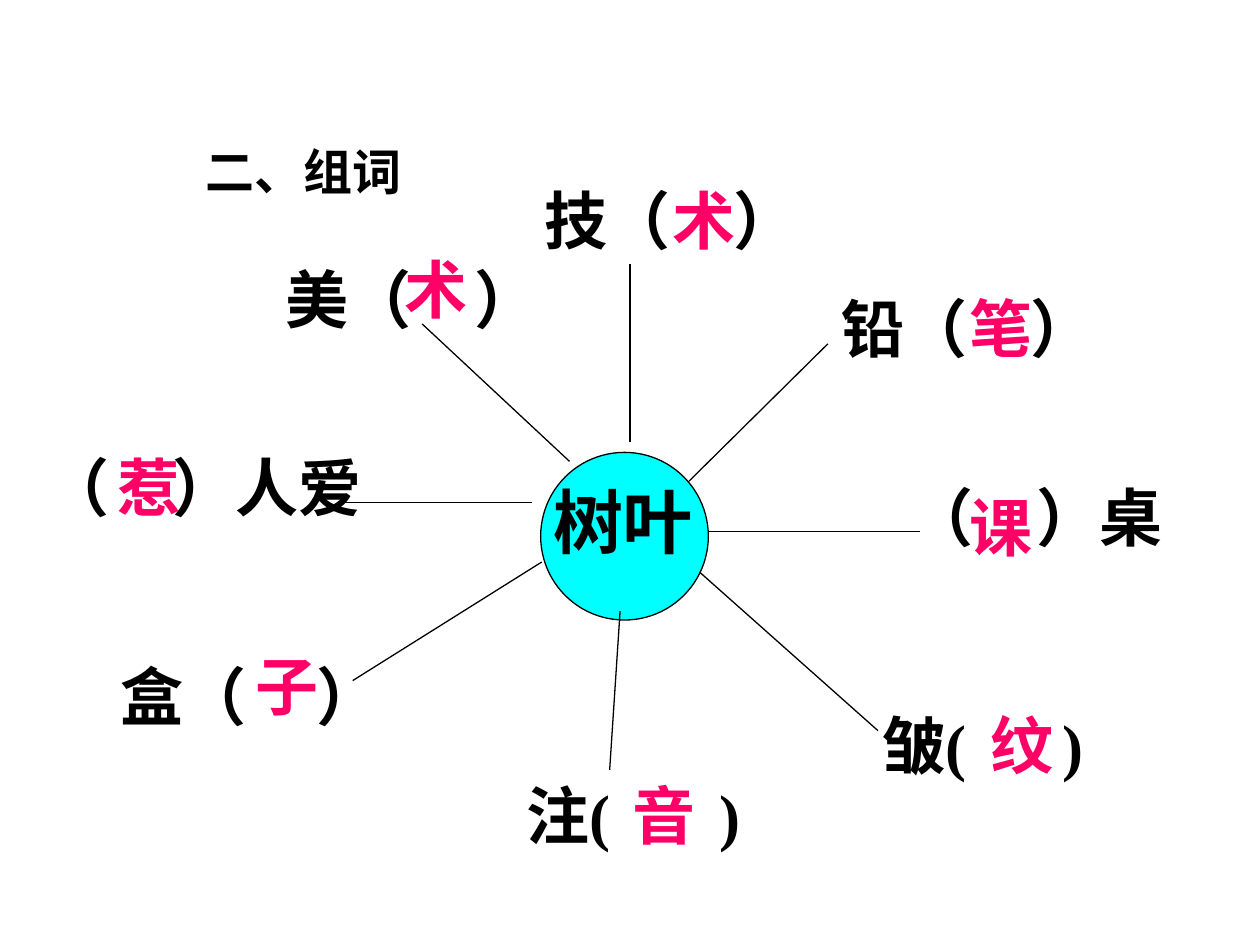
"""Build a word-building slide: a hub with eight spokes, each a word with its answer."""
from dataclasses import dataclass
from typing import Optional

from lxml.etree import SubElement
from pptx import Presentation
from pptx.dml.color import RGBColor
from pptx.enum.shapes import MSO_CONNECTOR, MSO_SHAPE
from pptx.enum.text import MSO_AUTO_SIZE
from pptx.oxml.ns import qn
from pptx.slide import Slide
from pptx.util import Cm, Pt


@dataclass(frozen=True)
class Theme:
    font: str = "Times New Roman"
    ink: RGBColor = RGBColor(0x00, 0x00, 0x00)
    answer: RGBColor = RGBColor(0xFF, 0x00, 0x66)
    hub: RGBColor = RGBColor(0x00, 0xFF, 0xFF)
    heading_size: int = 28
    word_size: int = 36
    hub_size: int = 40
    line_width: float = 0.75


@dataclass(frozen=True)
class Spoke:
    start: tuple[float, float]
    end: tuple[float, float]
    word: str
    word_at: tuple[float, float]
    width: float
    answer: str
    answer_at: tuple[float, float]
    tab: Optional[float] = None


THEME = Theme()
WORD_HEIGHT = 1.78
ANSWER_WIDTH = 1.78
SNUG_WIDTH = 5.59

SPOKES = [
    Spoke((12.7, 8.92), (12.7, 5.33), "技（　）", (10.72, 3.53), SNUG_WIDTH, "术", (13.31, 3.53)),
    Spoke((12.5, 12.32), (12.29, 15.52), "注(\t)", (10.36, 15.52), 4.95, "音", (12.5, 15.52), 3.89),
    Spoke((13.89, 9.7), (16.69, 6.93), "铅（　）", (16.71, 5.72), SNUG_WIDTH, "笔", (19.3, 5.72)),
    Spoke((14.3, 10.72), (18.54, 10.72), "（　）桌", (18.11, 9.53), 6.4, "课", (19.3, 9.73)),
    Spoke((14.1, 11.53), (17.7, 14.73), "皱(\t)", (17.55, 14.12), 4.95, "纹", (19.71, 14.12), 3.61),
    Spoke((10.92, 11.33), (7.11, 13.72), "盒（\t）", (2.18, 13.13), 5.84, "子", (4.9, 12.93), 3.96),
    Spoke((10.72, 10.13), (6.91, 10.13), "（　）人爱", (0.69, 8.92), 7.59, "惹", (2.11, 8.92)),
    Spoke((11.48, 9.3), (8.51, 6.53), "美（　）", (5.51, 5.13), SNUG_WIDTH, "术", (7.9, 4.93)),
]


def add_text(slide: Slide, text: str, at: tuple[float, float], width: float, height: float,
             size: int, color: RGBColor, wrap: bool = True, tab: Optional[float] = None) -> None:
    """Add a bold one-line text, with an optional tab stop for the blank."""
    frame = slide.shapes.add_textbox(*map(Cm, (*at, width, height))).text_frame
    frame.word_wrap = wrap
    frame.auto_size = MSO_AUTO_SIZE.SHAPE_TO_FIT_TEXT
    line = frame.paragraphs[0]
    line.add_run().text = text
    if tab is not None:
        stops = SubElement(line._p.get_or_add_pPr(), qn("a:tabLst"))
        SubElement(stops, qn("a:tab"), pos=str(Cm(tab)), algn="l")
    line.font.name = THEME.font
    line.font.size = Pt(size)
    line.font.bold = True
    line.font.color.rgb = color


def add_hub(slide: Slide) -> None:
    """Add the circle in the middle and its caption."""
    circle = slide.shapes.add_shape(MSO_SHAPE.OVAL, Cm(10.9), Cm(9.12), Cm(3.38), Cm(3.38))
    circle.shadow.inherit = False
    circle.fill.solid()
    circle.fill.fore_color.rgb = THEME.hub
    circle.line.color.rgb = THEME.ink
    circle.line.width = Pt(THEME.line_width)
    add_text(slide, "树叶", (10.9, 9.53), 4.32, 1.96, THEME.hub_size, THEME.ink)


def add_spoke(slide: Slide, spoke: Spoke) -> None:
    """Add a line from the hub, the word with its blank, and the answer."""
    ray = slide.shapes.add_connector(MSO_CONNECTOR.STRAIGHT, *map(Cm, (*spoke.start, *spoke.end)))
    ray.line.color.rgb = THEME.ink
    ray.line.width = Pt(THEME.line_width)
    SubElement(ray._element.spPr, qn("a:effectLst"))
    add_text(slide, spoke.word, spoke.word_at, spoke.width, WORD_HEIGHT, THEME.word_size,
             THEME.ink, wrap=spoke.width != SNUG_WIDTH, tab=spoke.tab)
    add_text(slide, spoke.answer, spoke.answer_at, ANSWER_WIDTH, WORD_HEIGHT, THEME.word_size,
             THEME.answer, wrap=False)


def main() -> None:
    """Build and save the slide."""
    deck = Presentation()
    deck.slide_width, deck.slide_height = Cm(25.4), Cm(19.05)
    slide = deck.slides.add_slide(deck.slide_layouts[6])
    add_hub(slide)
    for spoke in SPOKES:
        add_spoke(slide, spoke)
    add_text(slide, "二、组词", (3.89, 2.72), 15.8, 1.45, THEME.heading_size, THEME.ink)
    deck.save("out.pptx")


if __name__ == "__main__":
    main()
